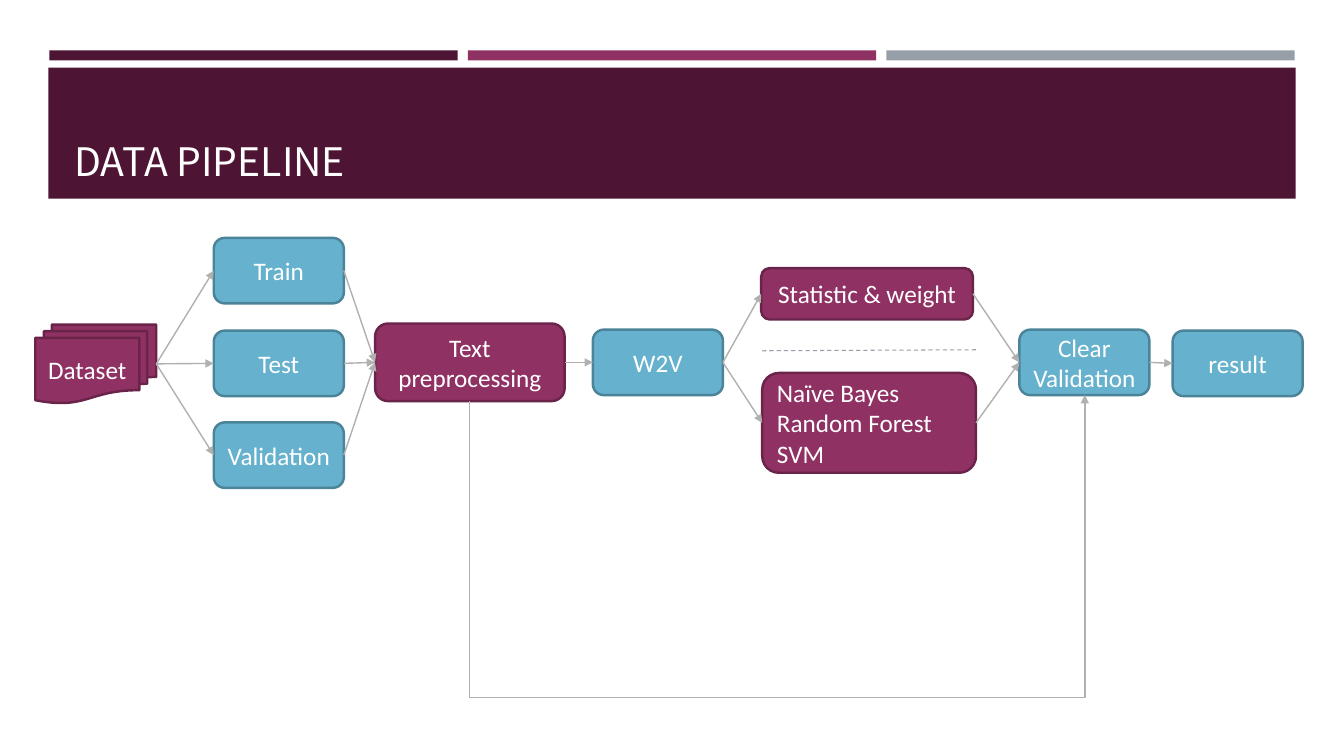
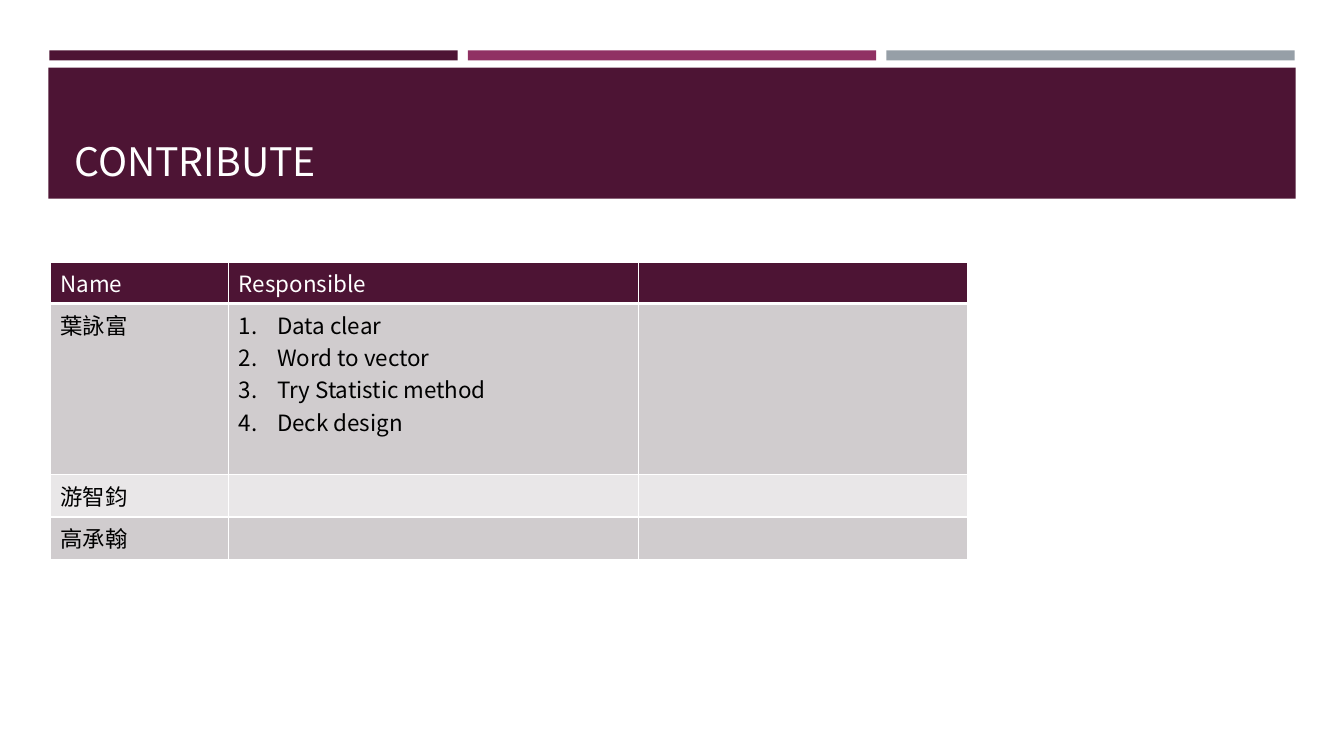
from pptx import Presentation
from pptx.dml.color import RGBColor
from pptx.enum import dml, shapes, text
from pptx.oxml import parse_xml
from pptx.oxml.ns import nsdecls
from pptx.oxml.xmlchemy import OxmlElement
from pptx.util import Inches, Pt

COLORS = {
    "plum": "4D1434", "berry": "903163", "berry edge": "6B2449",
    "sky": "66B1CE", "sky edge": "4B8398", "slate": "969FA7",
    "arrow": "B0B0B0", "white": "FFFFFF", "black": "000000",
    "row dark": "D0CCCE", "row light": "E9E7E8",
}
RGB = {name: RGBColor.from_string(value) for name, value in COLORS.items()}
HEADING_FONT = "Noto Sans CJK TC"
BODY_FONT = "Calibri"
LEFT, CENTER = text.PP_ALIGN.LEFT, text.PP_ALIGN.CENTER


def write(frame, lines, color, size, font, align=LEFT):
    """Fill a text frame with one paragraph per line."""
    frame.word_wrap = True
    frame.text = "\n".join(lines)
    for paragraph in frame.paragraphs:
        paragraph.alignment = align
        for run in paragraph.runs:
            for key, value in {"size": Pt(size), "name": font, "bold": False}.items():
                setattr(run.font, key, value)
            run.font.color.rgb = RGB[color]
            east_asian = OxmlElement("a:ea")
            east_asian.set("typeface", font)
            run.font._element.append(east_asian)


def style_line(line, color, width, arrow=False):
    line.line.color.rgb = RGB[color]
    line.line.width = Pt(width)
    if arrow:
        line.line._get_or_add_ln().append(
            parse_xml(f'<a:tailEnd {nsdecls("a")} type="triangle"/>'))
    line._element.spPr.append(OxmlElement("a:effectLst"))


deck = Presentation()
deck.slide_width, deck.slide_height = Inches(13.33), Inches(7.5)

# Bands and title shared by both slides
BANDS = [(0.49 + 4.15 * i, 0.5, 4.05, 0.1, color)
         for i, color in enumerate(["plum", "berry", "slate"])]
BANDS.append((0.48, 0.67, 12.37, 1.3, "plum"))
slides = []
for title in ["DATA PIPELINE", "CONTRIBUTE"]:
    slide = deck.slides.add_slide(deck.slide_layouts[6])
    for *box, color in BANDS:
        band = slide.shapes.add_shape(shapes.MSO_SHAPE.RECTANGLE, *map(Inches, box))
        band.shadow.inherit = False
        band.fill.solid()
        band.fill.fore_color.rgb = RGB[color]
        band.line.fill.background()
    heading = slide.shapes.add_textbox(*map(Inches, (0.64, 0.77, 12.06, 1.11)))
    write(heading.text_frame, [title], "white", 28, HEADING_FONT)
    heading.text_frame.vertical_anchor = text.MSO_ANCHOR.BOTTOM
    slides.append(slide)
pipeline, contribute = slides

# Pipeline steps: key, box, colour, lines
STEP_W, STEP_H = 1.29, 0.65
STEPS = [
    ("dataset", (0.35, 3.22, 1.2, 0.78), "berry", ["Dataset"]),
    ("train", (2.12, 2.36, STEP_W, STEP_H), "sky", ["Train"]),
    ("test", (2.12, 3.28, STEP_W, STEP_H), "sky", ["Test"]),
    ("validation", (2.12, 4.19, STEP_W, STEP_H), "sky", ["Validation"]),
    ("preprocessing", (3.72, 3.21, 1.88, 0.77), "berry", ["Text preprocessing"]),
    ("w2v", (5.88, 3.27, STEP_W, STEP_H), "sky", ["W2V"]),
    ("statistic", (7.55, 2.66, 2.1, 0.51), "berry", ["Statistic & weight"]),
    ("models", (7.56, 3.7, 2.12, 0.99), "berry", ["Naïve Bayes", "Random Forest", "SVM"]),
    ("clear", (10.11, 3.27, STEP_W, STEP_H), "sky", ["Clear", "Validation"]),
    ("result", (11.63, 3.28, STEP_W, STEP_H), "sky", ["result"]),
]
steps = {}
for key, box, color, lines in STEPS:
    kind = (shapes.MSO_SHAPE.FLOWCHART_MULTIDOCUMENT if key == "dataset"
            else shapes.MSO_SHAPE.ROUNDED_RECTANGLE)
    step = pipeline.shapes.add_shape(kind, *map(Inches, box))
    step.shadow.inherit = False
    step.fill.solid()
    step.fill.fore_color.rgb = RGB[color]
    step.line.color.rgb = RGB[color + " edge"]
    step.line.width = Pt(1.75)
    write(step.text_frame, lines, "white", 18, BODY_FONT,
          LEFT if key == "models" else CENTER)
    step.text_frame.vertical_anchor = text.MSO_ANCHOR.MIDDLE
    steps[key] = step

FLOWS = [
    ("dataset", "train"), ("dataset", "test"), ("dataset", "validation"),
    ("train", "preprocessing"), ("test", "preprocessing"), ("validation", "preprocessing"),
    ("preprocessing", "w2v"), ("w2v", "statistic"), ("w2v", "models"),
    ("statistic", "clear"), ("models", "clear"), ("clear", "result"),
]
for source, target in FLOWS:
    flow = pipeline.shapes.add_connector(shapes.MSO_CONNECTOR.STRAIGHT, 0, 0, 0, 0)
    flow.begin_connect(steps[source], 3)
    flow.end_connect(steps[target], 1)
    style_line(flow, "arrow", 1, arrow=True)

# Bypass from the bottom of preprocessing to the bottom of clear validation:
# an elbow turned by 90 degrees and flipped both ways
START_X, START_Y, END_X, END_Y, LOWEST_Y = 4.66, 3.98, 10.76, 3.92, 6.93
rise, span = START_Y - END_Y, END_X - START_X
left = (START_X + END_X - rise) / 2
top = (START_Y + END_Y - span) / 2
bypass = pipeline.shapes.add_connector(
    shapes.MSO_CONNECTOR.ELBOW, *map(Inches, (left, top, left + rise, top + span)))
for key, value in {"rot": "5400000", "flipH": "1", "flipV": "1"}.items():
    bypass._element.spPr.xfrm.set(key, value)
bend = round((START_Y - LOWEST_Y) / rise * 100000)
geometry = bypass._element.spPr.prstGeom
geometry.get_or_add_avLst().append(
    parse_xml(f'<a:gd {nsdecls("a")} name="adj1" fmla="val {bend}"/>'))
style_line(bypass, "arrow", 1, arrow=True)

divider = pipeline.shapes.add_connector(
    shapes.MSO_CONNECTOR.STRAIGHT, *map(Inches, (7.56, 3.48, 9.7, 3.47)))
divider.line.dash_style = dml.MSO_LINE.DASH
style_line(divider, "slate", 0.75)

# Contribution table
ROWS = [
    (["Name", "Responsible", ""], 0.41, "plum"),
    (["葉詠富", "Data clear\nWord to vector\nTry Statistic method\nDeck design", ""],
     1.7, "row dark"),
    (["游智鈞", "", ""], 0.42, "row light"),
    (["高承翰", "", ""], 0.42, "row dark"),
]
COLUMN_WIDTHS = [1.77, 4.06, 3.27]
table = contribute.shapes.add_table(
    len(ROWS), len(COLUMN_WIDTHS),
    *map(Inches, (0.5, 2.6, sum(COLUMN_WIDTHS), sum(row[1] for row in ROWS)))).table
for column, width in zip(table.columns, COLUMN_WIDTHS):
    column.width = Inches(width)
for r, (entries, height, fill) in enumerate(ROWS):
    table.rows[r].height = Inches(height)
    for c, entry in enumerate(entries):
        cell = table.cell(r, c)
        cell.fill.solid()
        cell.fill.fore_color.rgb = RGB[fill]
        write(cell.text_frame, entry.split("\n"), "black" if r else "white", 16, HEADING_FONT)
        widths = {"L": 1, "R": 1, "T": 3 if r == 1 else 1, "B": 1 if r else 3}
        for i, (side, width) in enumerate(widths.items()):
            cell._tc.get_or_add_tcPr().insert(i, parse_xml(
                f'<a:ln{side} {nsdecls("a")} w="{Pt(width)}"><a:solidFill>'
                f'<a:srgbClr val="{COLORS["white"]}"/></a:solidFill></a:ln{side}>'))
for duty in table.cell(1, 1).text_frame.paragraphs:
    properties = duty._p.get_or_add_pPr()
    properties.set("marL", str(Inches(0.38)))
    properties.set("indent", str(Inches(-0.38)))
    properties.append(parse_xml(f'<a:buAutoNum {nsdecls("a")} type="arabicPeriod"/>'))

deck.save("out.pptx")
